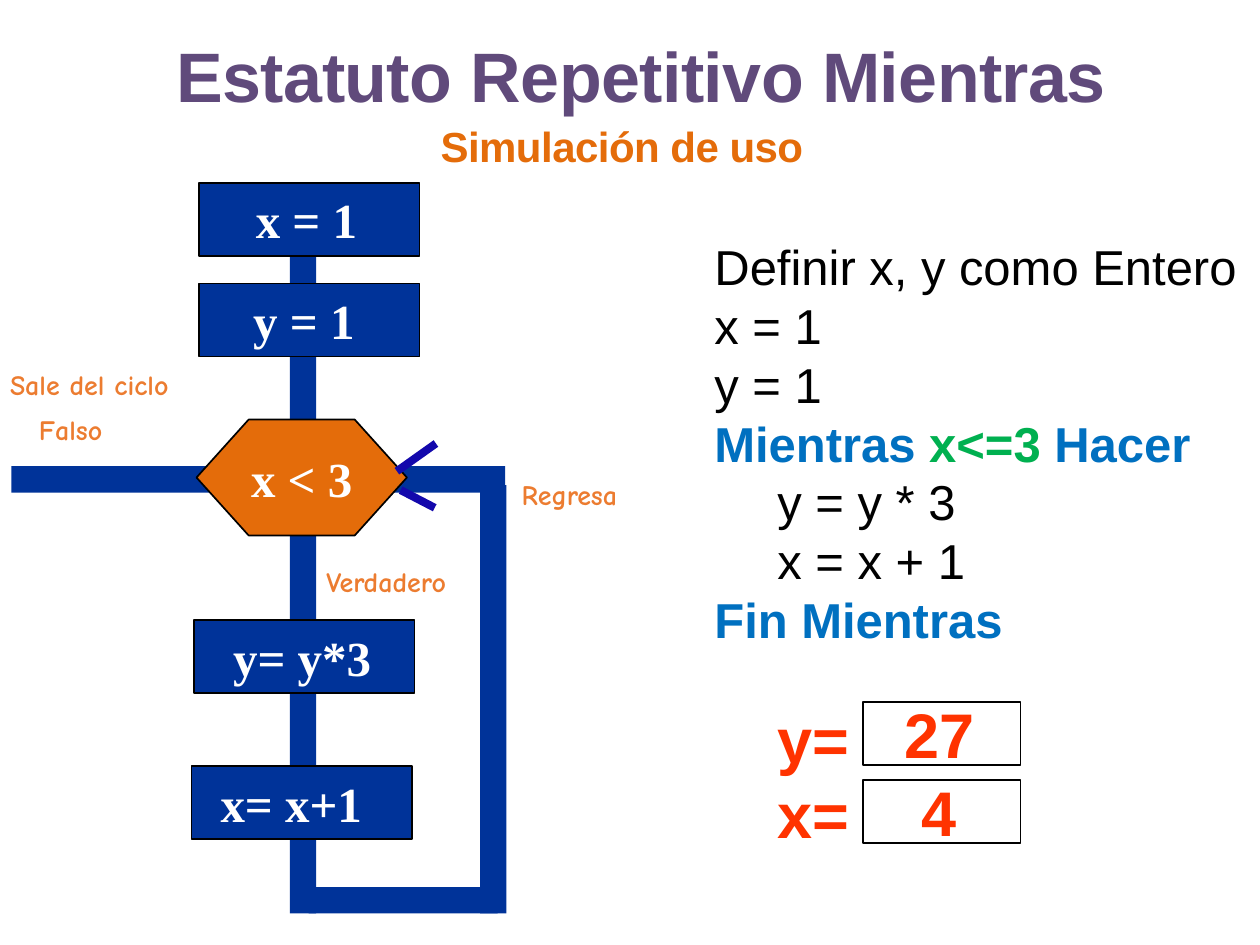
from typing import NamedTuple

import pptx
import pptx.dml.color
import pptx.enum.shapes
import pptx.enum.text
import pptx.oxml.ns
import pptx.util
from lxml import etree

RGBColor = pptx.dml.color.RGBColor
MSO_SHAPE = pptx.enum.shapes.MSO_SHAPE
PP_ALIGN = pptx.enum.text.PP_ALIGN
MSO_ANCHOR = pptx.enum.text.MSO_ANCHOR

NAVY = RGBColor(0x00, 0x33, 0x99)
ORANGE = RGBColor(0xE4, 0x6C, 0x0A)
LABEL_ORANGE = RGBColor(0xEC, 0x7C, 0x30)
PURPLE = RGBColor(0x60, 0x4A, 0x7B)
RED = RGBColor(0xFF, 0x33, 0x00)
BLUE = RGBColor(0x00, 0x70, 0xC0)
GREEN = RGBColor(0x00, 0xB0, 0x50)
INDIGO = RGBColor(0x13, 0x08, 0xAC)
BLACK = RGBColor(0, 0, 0)
WHITE = RGBColor(255, 255, 255)

WIDTH, HEIGHT = pptx.util.Inches(10), pptx.util.Inches(7.5)
COLS, ROWS = 100, 75
TOP_INSET = 0.4


class Area(NamedTuple):
    col: float
    row: float
    cols: float
    rows: float


class Style(NamedTuple):
    font: str
    size: float
    color: RGBColor
    bold: bool = True


class Box(NamedTuple):
    text: str
    area: Area
    text_col: float


class Label(NamedTuple):
    text: str
    area: Area


STEP = Style("Times New Roman", 28, WHITE)
LABEL = Style("Comic Neue", 16, LABEL_ORANGE)
VALUE = Style("Arial", 36, RED)
PLAIN = Style("Arial", 28, BLACK, False)
KEYWORD = Style("Arial", 28, BLUE)
CONDITION = Style("Arial", 28, GREEN)

BARS = [
    Area(23, 20.3, 2.1, 52.2),
    Area(24.5, 70.4, 15, 2.1),
    Area(38.1, 38.5, 2.1, 34),
    Area(0.9, 37, 39.2, 2.1),
]
STEPS = [
    Box("x = 1", Area(15.8, 14.5, 17.5, 5.8), 20.3),
    Box("y = 1", Area(15.8, 22.5, 17.5, 5.8), 20.1),
    Box("y= y*3", Area(15.4, 49.2, 17.5, 5.8), 18.5),
    Box("x= x+1", Area(15.2, 60.8, 17.5, 5.8), 17.5),
]
VALUES = [
    Box("27", Area(68.5, 55.7, 12.5, 5), 71.8),
    Box("4", Area(68.5, 61.9, 12.5, 5), 73.1),
]
LABELS = [
    Label("Sale del ciclo", Area(0.8, 28.8, 14.7, 2.8)),
    Label("Falso", Area(3.1, 32.3, 5.7, 2.8)),
    Label("Verdadero", Area(25.9, 44.4, 11.4, 2.8)),
    Label("Regresa", Area(41.4, 37.5, 8.7, 2.8)),
]
ARROW_STROKES = [(31.5, 37.4, 34.6, 35.2), (31.8, 38.9, 34.5, 40.3)]
CODE = [
    [("Definir x, y como Entero", PLAIN)],
    [("x = 1", PLAIN)],
    [("y = 1", PLAIN)],
    [("Mientras ", KEYWORD), ("x<=3 ", CONDITION), ("Hacer", KEYWORD)],
    [("\ty = y * 3", PLAIN)],
    [("\tx = x + 1", PLAIN)],
    [("Fin Mientras", KEYWORD)],
]


def col(n: float) -> int:
    return round(WIDTH * n / COLS)


def row(n: float) -> int:
    return round(HEIGHT * n / ROWS)


def place(area: Area) -> tuple:
    return col(area.col), row(area.row), col(area.cols), row(area.rows)


def format_run(r, style: Style, spacing: int = 0) -> None:
    r.font.name = style.font
    r.font.size = pptx.util.Pt(style.size)
    r.font.bold = style.bold
    r.font.color.rgb = style.color
    if spacing:
        r._r.get_or_add_rPr().set("spc", str(spacing))


def set_frame(tf, left: float = 0, top: float = 0, right: float = 0,
              anchor=MSO_ANCHOR.TOP) -> None:
    tf.word_wrap = True
    tf.auto_size = pptx.enum.text.MSO_AUTO_SIZE.NONE
    tf.margin_left, tf.margin_right = col(left), col(right)
    tf.margin_top, tf.margin_bottom = row(top), 0
    tf.vertical_anchor = anchor


def write(tf, text: str, style: Style, align=PP_ALIGN.LEFT, spacing: int = 0) -> None:
    tf.text = text
    for p in tf.paragraphs:
        p.alignment = align
        for r in p.runs:
            format_run(r, style, spacing)


def add_block(s, area: Area, fill=None, outlined: bool = True, kind=MSO_SHAPE.RECTANGLE):
    sp = s.shapes.add_shape(kind, *place(area))
    sp.shadow.inherit = False
    if fill is None:
        sp.fill.background()
    else:
        sp.fill.solid()
        sp.fill.fore_color.rgb = fill
    if outlined:
        sp.line.color.rgb = BLACK
        sp.line.width = pptx.util.Pt(0.96)
    else:
        sp.line.fill.background()
    return sp


def add_box(s, box: Box, style: Style, fill=None) -> None:
    tf = add_block(s, box.area, fill).text_frame
    set_frame(tf, left=box.text_col - box.area.col, anchor=MSO_ANCHOR.MIDDLE)
    write(tf, box.text, style)


def add_text(s, area: Area):
    tf = s.shapes.add_textbox(*place(area)).text_frame
    set_frame(tf, top=TOP_INSET)
    return tf


def add_stroke(s, x1: float, y1: float, x2: float, y2: float) -> None:
    sp = s.shapes.add_connector(pptx.enum.shapes.MSO_CONNECTOR.STRAIGHT,
                                col(x1), row(y1), col(x2), row(y2))
    sp.line.color.rgb = INDIGO
    sp.line.width = pptx.util.Pt(4.56)
    etree.SubElement(sp._element.spPr, pptx.oxml.ns.qn("a:effectLst"))


def add_code(s, area: Area) -> None:
    tf = add_text(s, area)
    for i, line in enumerate(CODE):
        p = tf.paragraphs[0] if i == 0 else tf.add_paragraph()
        p.line_spacing = pptx.util.Pt(33.6)
        for text, style in line:
            r = p.add_run()
            r.text = text
            format_run(r, style)


def main() -> None:
    prs = pptx.Presentation()
    prs.slide_width, prs.slide_height = WIDTH, HEIGHT
    s = prs.slides.add_slide(prs.slide_layouts[5])

    title = s.shapes.title
    title.left, title.top, title.width, title.height = place(Area(-1.9, 0.3, 102.3, 9.6))
    set_frame(title.text_frame, left=3.3, top=1.6, anchor=MSO_ANCHOR.MIDDLE)
    write(title.text_frame, "Estatuto Repetitivo Mientras",
          Style("Arial", 40, PURPLE), PP_ALIGN.CENTER, -30)
    write(add_text(s, Area(21.2, 9.2, 56.3, 6.7)), "Simulación de uso",
          Style("Arial", 24, ORANGE), PP_ALIGN.CENTER, -30)

    for bar in BARS:
        add_block(s, bar, NAVY, outlined=False)
    for step in STEPS:
        add_box(s, step, STEP, NAVY)

    sp = add_block(s, Area(15.6, 33.3, 16.7, 9.2), ORANGE, kind=MSO_SHAPE.HEXAGON)
    sp.adjustments[0] = 0.45
    set_frame(sp.text_frame, anchor=MSO_ANCHOR.MIDDLE)
    write(sp.text_frame, "x < 3", STEP, PP_ALIGN.CENTER)

    for stroke in ARROW_STROKES:
        add_stroke(s, *stroke)
    for label in LABELS:
        write(add_text(s, label.area), label.text, LABEL)

    add_code(s, Area(56.7, 18.4, 42.5, 37.4))
    tf = add_text(s, Area(61.7, 55.2, 6.3, 12.1))
    write(tf, "y=\nx=", VALUE)
    tf.paragraphs[1].line_spacing = pptx.util.Pt(43)
    for value in VALUES:
        add_box(s, value, VALUE)

    prs.save("out.pptx")


if __name__ == "__main__":
    main()
